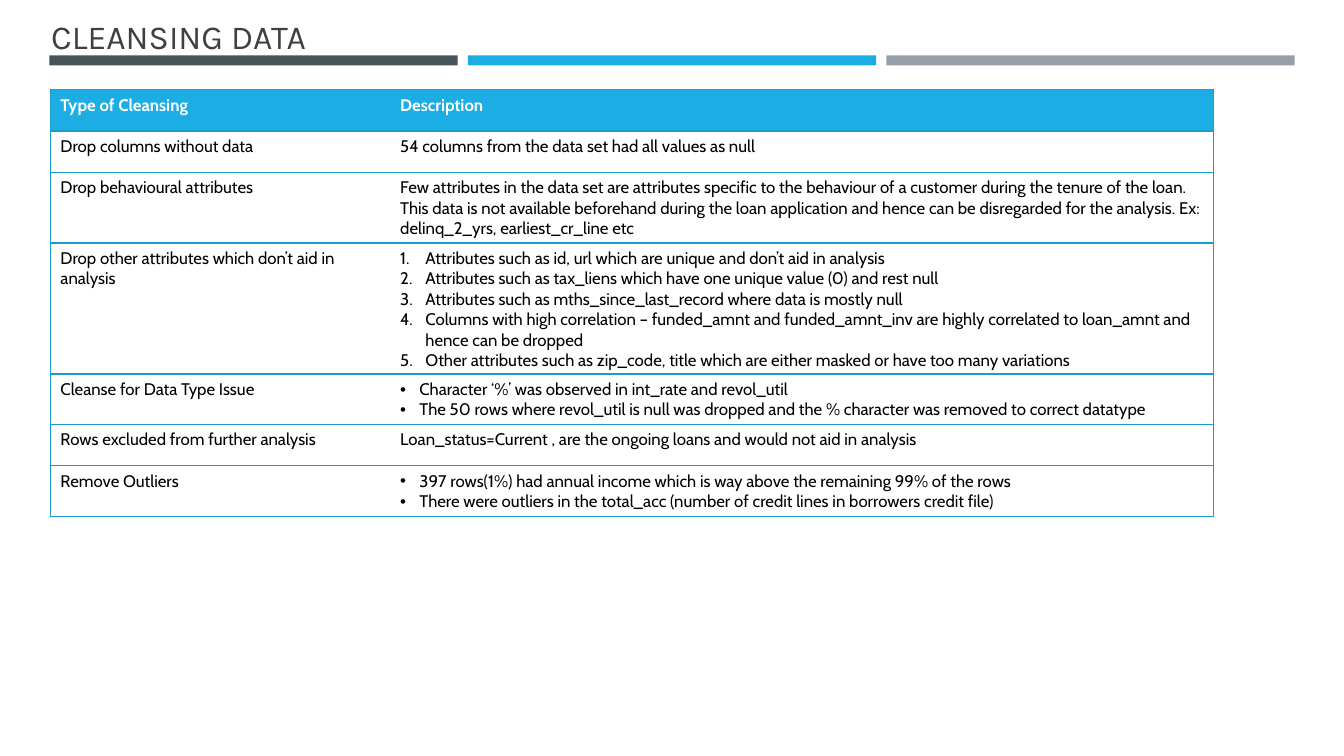
from lxml.etree import SubElement
from pptx import Presentation
from pptx.dml.color import RGBColor
from pptx.enum.shapes import MSO_SHAPE
from pptx.enum.text import MSO_ANCHOR
from pptx.oxml.ns import qn
from pptx.util import Inches, Pt

SLATE = RGBColor(0x46, 0x53, 0x59)
BLUE = RGBColor(0x1C, 0xAD, 0xE4)
GRAY = RGBColor(0x96, 0x9F, 0xA7)
BORDER = RGBColor(0x18, 0x9C, 0xCE)
TITLE = RGBColor(0x40, 0x40, 0x40)
WHITE = RGBColor(0xFF, 0xFF, 0xFF)
BLACK = RGBColor(0x00, 0x00, 0x00)

NUMBERED = ("buAutoNum", {"type": "arabicPeriod"}, 0.25)
BULLETED = ("buChar", {"char": "•"}, 0.19)

# Each row: cleansing type, description paragraphs, list style
ROWS = [
    ("Type of Cleansing", ["Description"], None),
    ("Drop columns without data",
     ["54 columns from the data set had all values as null"], None),
    ("Drop behavioural attributes",
     ["Few attributes in the data set are attributes specific to the behaviour of a "
      "customer during the tenure of the loan. This data is not available beforehand "
      "during the loan application and hence can be disregarded for the analysis. Ex: "
      "delinq_2_yrs, earliest_cr_line etc"], None),
    ("Drop other attributes which don’t aid in analysis",
     ["Attributes such as id, url which are unique and don’t aid in analysis",
      "Attributes such as tax_liens which have one unique value (0) and rest null",
      "Attributes such as mths_since_last_record where data is mostly null",
      "Columns with high correlation – funded_amnt and funded_amnt_inv are highly "
      "correlated to loan_amnt and hence can be dropped",
      "Other attributes such as zip_code, title which are either masked or have too "
      "many variations"], NUMBERED),
    ("Cleanse for Data Type Issue",
     ["Character ‘%’ was observed in int_rate and revol_util",
      "The 50 rows where revol_util is null was dropped and the % character was "
      "removed to correct datatype"], BULLETED),
    ("Rows excluded from further analysis",
     ["Loan_status=Current , are the ongoing loans and would not aid in analysis"], None),
    ("Remove Outliers",
     ["397 rows(1%) had annual income which is way above the remaining 99% of the rows",
      "There were outliers in the total_acc (number of credit lines in borrowers "
      "credit file)"], BULLETED),
]


def add_bar(slide, left, color):
    sp = slide.shapes.add_shape(MSO_SHAPE.RECTANGLE, Inches(left), Inches(0.55),
                                Inches(4.05), Inches(0.1))
    sp.shadow.inherit = False
    sp.fill.solid()
    sp.fill.fore_color.rgb = color
    sp.line.fill.background()


def add_title(slide, text):
    box = slide.shapes.add_textbox(Inches(0.41), Inches(0.05), Inches(12.06), Inches(0.56))
    tf = box.text_frame
    tf.word_wrap = True
    tf.vertical_anchor = MSO_ANCHOR.BOTTOM
    p = tf.paragraphs[0]
    p.text = text
    p.font.name = "Karla"
    p.font.size = Pt(24)
    p.font.color.rgb = TITLE


def set_borders(cell, hidden_side):
    """Draw every side of the cell except hidden_side; call before filling."""
    tc_pr = cell._tc.get_or_add_tcPr()
    for side in ("lnL", "lnR", "lnT", "lnB"):
        ln = SubElement(tc_pr, qn(f"a:{side}"), w=str(Pt(1)))
        if side == hidden_side:
            SubElement(ln, qn("a:noFill"))
        else:
            fill = SubElement(ln, qn("a:solidFill"))
            SubElement(fill, qn("a:srgbClr"), val=str(BORDER))


def set_list_style(p, list_style):
    tag, attributes, indent = list_style
    p_pr = p._p.get_or_add_pPr()
    p_pr.set("marL", str(Inches(indent)))
    p_pr.set("indent", str(-Inches(indent)))
    SubElement(p_pr, qn("a:buFont"), typeface="Arial")
    SubElement(p_pr, qn(f"a:{tag}"), attributes)


def fill_cell(cell, lines, list_style, is_header):
    cell.fill.solid()
    cell.fill.fore_color.rgb = BLUE if is_header else WHITE
    tf = cell.text_frame
    tf.text = "\n".join(lines)
    for p in tf.paragraphs:
        if list_style:
            set_list_style(p, list_style)
        p.font.name = "Cabin"
        p.font.size = Pt(12)
        p.font.bold = is_header
        p.font.color.rgb = WHITE if is_header else BLACK


def add_cleansing_table(slide):
    row_height = Inches(0.41)
    frame = slide.shapes.add_table(len(ROWS), 2, Inches(0.5), Inches(0.89),
                                   Inches(11.54), row_height * len(ROWS))
    table = frame.table
    table.horz_banding = False
    table.columns[0].width = Inches(3.37)
    table.columns[1].width = Inches(8.17)
    for i, (kind, description, list_style) in enumerate(ROWS):
        table.rows[i].height = row_height
        kind_cell, description_cell = table.cell(i, 0), table.cell(i, 1)
        set_borders(kind_cell, "lnR")
        set_borders(description_cell, "lnL")
        fill_cell(kind_cell, [kind], None, i == 0)
        fill_cell(description_cell, description, list_style, i == 0)


def main():
    prs = Presentation()
    prs.slide_width = Inches(13.33)
    prs.slide_height = Inches(7.5)
    slide = prs.slides.add_slide(prs.slide_layouts[6])
    for i, color in enumerate((SLATE, BLUE, GRAY)):
        add_bar(slide, 0.49 + 4.15 * i, color)
    add_title(slide, "CLEANSING DATA")
    add_cleansing_table(slide)
    prs.save("out.pptx")


if __name__ == "__main__":
    main()
